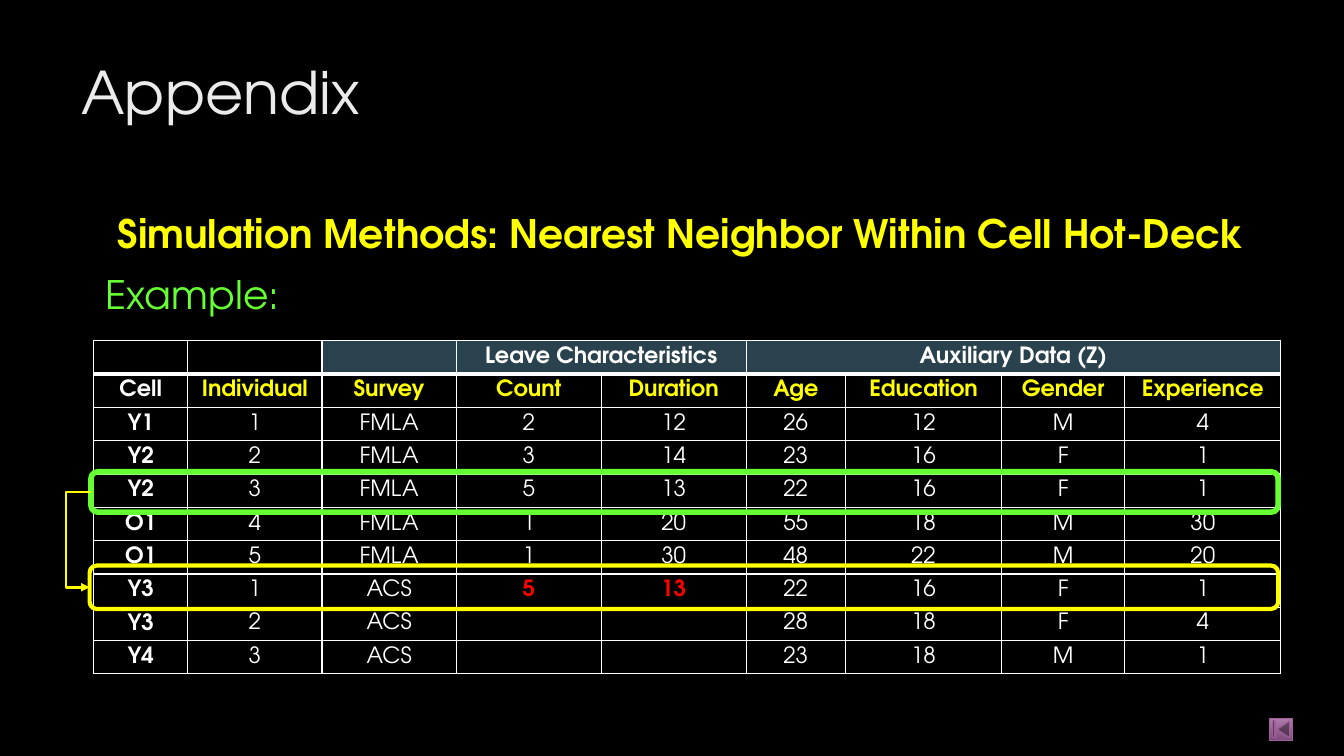
import pptx
import pptx.dml.color
import pptx.enum.dml
import pptx.enum.shapes
import pptx.enum.text
import pptx.oxml
import pptx.oxml.ns
import pptx.util
import lxml.etree

Pt = pptx.util.Pt
SHAPE = pptx.enum.shapes.MSO_SHAPE
ALIGN = pptx.enum.text.PP_ALIGN
ANCHOR = pptx.enum.text.MSO_ANCHOR
NS = pptx.oxml.ns.nsdecls("a")

HUES = {
    "black": "000000", "white": "FFFFFF", "title": "EBEBEB",
    "yellow": "FFFF00", "green": "66FF33", "red": "FF0000",
    "slate": "2A424D", "light": "AF7CAC", "dark": "7F4B7C", "rim": "9E5E9B",
}
WIDTHS = [67, 96, 96, 103.5, 103.5, 71, 111.5, 88, 111.5]
ROWS = [
    ["", "", "", "Leave Characteristics", "", "Auxiliary Data (Z)", "", "", ""],
    ["Cell", "Individual", "Survey", "Count", "Duration",
     "Age", "Education", "Gender", "Experience"],
    ["Y1", "1", "FMLA", "2", "12", "26", "12", "M", "4"],
    ["Y2", "2", "FMLA", "3", "14", "23", "16", "F", "1"],
    ["Y2", "3", "FMLA", "5", "13", "22", "16", "F", "1"],
    ["O1", "4", "FMLA", "1", "20", "55", "18", "M", "30"],
    ["O1", "5", "FMLA", "1", "30", "48", "22", "M", "20"],
    ["Y3", "1", "ACS", "5", "13", "22", "16", "F", "1"],
    ["Y3", "2", "ACS", "", "", "28", "18", "F", "4"],
    ["Y4", "3", "ACS", "", "", "23", "18", "M", "1"],
]
SPANS = [(3, 4), (5, 8)]
FILLED = [(7, 3), (7, 4)]


def color(name):
    return pptx.dml.color.RGBColor.from_string(HUES[name])


class Deck:
    """Holds the font and the current slide."""

    def __init__(self, face):
        self.face = face
        self.file = pptx.Presentation()
        self.file.slide_width, self.file.slide_height = Pt(960), Pt(540)
        self.slide = self.file.slides.add_slide(self.file.slide_layouts[1])
        back = self.slide.background.fill
        back.solid()
        back.fore_color.rgb = color("black")

    def style(self, para, size, hue, bold=False, align=ALIGN.LEFT):
        para.alignment = align
        para.space_before = Pt(0)
        font = para.font
        font.name, font.size, font.bold = self.face, Pt(size), bold
        font.color.rgb = color(hue)

    def text(self, box, area, words, size, hue, bold=False, indent=0):
        box.left, box.top, box.width, box.height = map(Pt, area)
        frame = box.text_frame
        frame.word_wrap = True
        frame.auto_size = pptx.enum.text.MSO_AUTO_SIZE.NONE
        frame.vertical_anchor = ANCHOR.TOP
        frame.text = words
        para = frame.paragraphs[0]
        props = para._p.get_or_add_pPr()
        props.set("marL", str(Pt(indent)))
        props.set("indent", "0")
        props.append(pptx.oxml.parse_xml(f"<a:buNone {NS}/>"))
        self.style(para, size, hue, bold)

    def label(self, area, *look):
        self.text(self.slide.shapes.add_textbox(*map(Pt, area)), area, *look)

    def edge(self, cell, side, width):
        props = cell._tc.get_or_add_tcPr()
        props.append(pptx.oxml.parse_xml(
            f'<a:ln{side} {NS} w="{Pt(width)}"><a:solidFill>'
            f'<a:srgbClr val="{HUES["white"]}"/></a:solidFill></a:ln{side}>'))

    def cell(self, cell, row, col, words):
        for side in "LRTB":
            thick = (row, side) in [(0, "B"), (1, "T")]
            self.edge(cell, side, 3 if thick else 1)
        cell.fill.solid()
        cell.fill.fore_color.rgb = color("slate" if row == 0 and col > 1 else "black")
        cell.margin_left = cell.margin_right = Pt(5)
        cell.margin_top = cell.margin_bottom = 0
        cell.vertical_anchor = ANCHOR.MIDDLE
        cell.text = words
        found = (row, col) in FILLED
        hue = "red" if found else "yellow" if row == 1 and col else "white"
        bold = found or row < 2 or col == 0
        self.style(cell.text_frame.paragraphs[0], 16, hue, bold, ALIGN.CENTER)

    def table(self, left, top, high, widths, rows, spans):
        frame = self.slide.shapes.add_table(
            len(rows), len(widths), Pt(left), Pt(top),
            Pt(sum(widths)), Pt(high * len(rows)))
        grid = frame.table
        grid.first_row = grid.horz_banding = False
        for col, width in zip(grid.columns, widths):
            col.width = Pt(width)
        for r, row in enumerate(rows):
            grid.rows[r].height = Pt(high)
            for c, words in enumerate(row):
                self.cell(grid.cell(r, c), r, c, words)
        for first, last in spans:
            grid.cell(0, first).merge(grid.cell(0, last))

    def shape(self, kind, area, hue, width):
        item = self.slide.shapes.add_shape(kind, *map(Pt, area))
        item.shadow.inherit = False
        item.fill.background()
        item.line.color.rgb = color(hue)
        item.line.width = Pt(width)
        return item

    def button(self, area):
        item = self.shape(SHAPE.ACTION_BUTTON_BEGINNING, area, "rim", 0.75)
        item.fill.gradient()
        item.fill.gradient_angle = 270
        for stop, hue in zip(item.fill.gradient_stops, ("light", "dark")):
            stop.color.rgb = color(hue)
            stop.position = 0 if hue == "light" else 1
        glow = item._element.spPr.find(pptx.oxml.ns.qn("a:effectLst"))
        glow.append(pptx.oxml.parse_xml(
            f'<a:outerShdw {NS} blurRad="{Pt(3)}" dist="{Pt(2)}" dir="5400000" '
            f'rotWithShape="0"><a:srgbClr val="{HUES["black"]}">'
            '<a:alpha val="45000"/></a:srgbClr></a:outerShdw>'))

    def elbow(self, start, end, reach, hue, width):
        link = self.slide.shapes.add_connector(
            pptx.enum.shapes.MSO_CONNECTOR.ELBOW, 0, 0, 0, 0)
        link.begin_connect(start, 1)
        link.end_connect(end, 1)
        link.line.color.rgb = color(hue)
        link.line.width = Pt(width)
        props = link._element.spPr
        bend = round(100000 * Pt(reach) / (start.left - end.left))
        shape = props.find(pptx.oxml.ns.qn("a:prstGeom"))
        shape.get_or_add_avLst().append(pptx.oxml.parse_xml(
            f'<a:gd {NS} name="adj1" fmla="val {bend}"/>'))
        link.line._get_or_add_ln().append(
            pptx.oxml.parse_xml(f'<a:tailEnd {NS} type="triangle"/>'))
        lxml.etree.SubElement(props, pptx.oxml.ns.qn("a:effectLst"))


def main():
    deck = Deck("TeX Gyre Adventor")
    title, body = deck.slide.placeholders

    # Back button and headings
    deck.button((907, 513, 16.5, 16))
    deck.text(title, (51, 36, 741, 110), "Appendix", 42, "title")
    deck.text(body, (68.4, 146, 840, 58),
              "Simulation Methods: Nearest Neighbor Within Cell Hot-Deck",
              28, "yellow", True, 8.6)
    deck.label((68.4, 189.5, 808, 41), "Example:", 28, "green")

    # Survey table
    deck.table(67, 243.5, 23.8, WIDTHS, ROWS, SPANS)

    # Donor row, matched row and the arrow between them
    donor = deck.shape(SHAPE.ROUNDED_RECTANGLE, (65, 337, 848, 28.8), "green", 4)
    match = deck.shape(SHAPE.ROUNDED_RECTANGLE, (64, 404, 849, 31), "yellow", 3)
    deck.elbow(donor, match, 18, "yellow", 2)

    deck.file.save("out.pptx")


if __name__ == "__main__":
    main()
